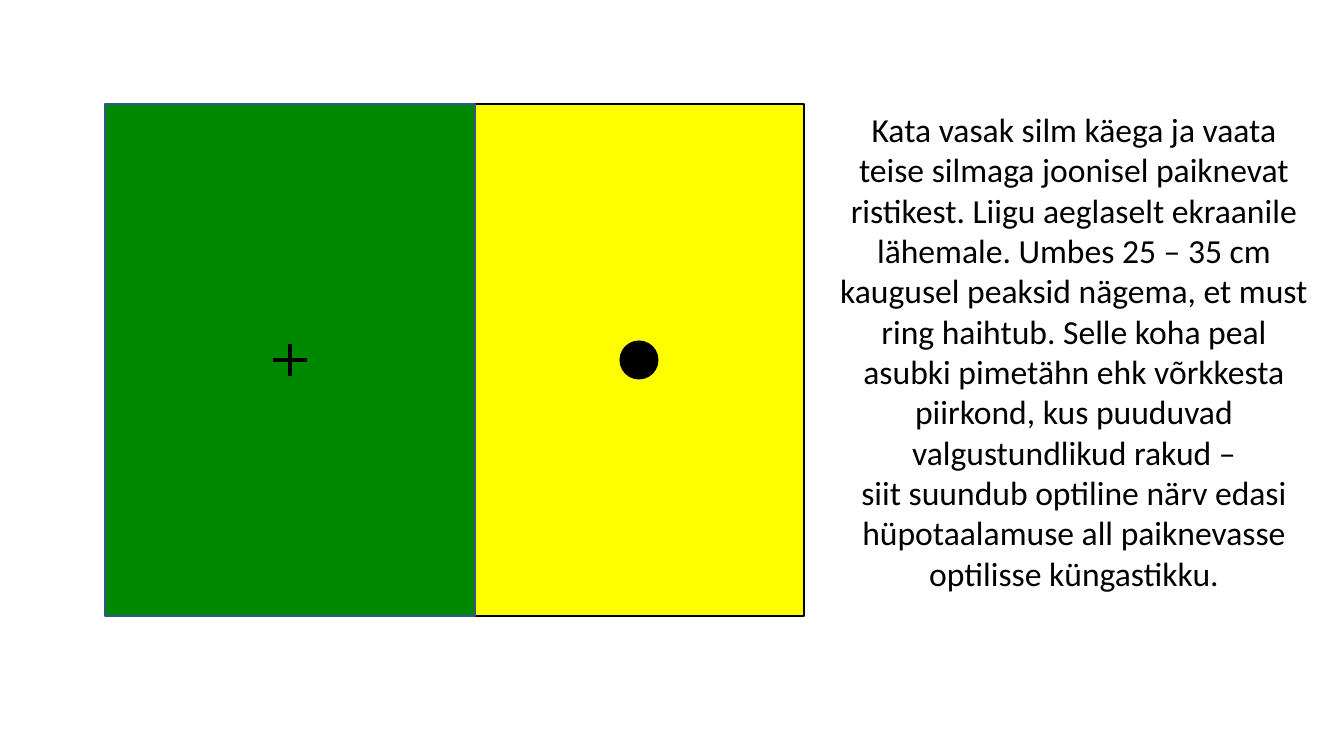
from lxml import etree
from pptx import Presentation
from pptx import util as u
from pptx.dml.color import RGBColor
from pptx.enum import shapes, text
from pptx.oxml.ns import qn

# Content
INSTRUCTIONS = [
    "Kata vasak silm käega ja vaata teise silmaga joonisel paiknevat ristikest. "
    "Liigu aeglaselt ekraanile lähemale. Umbes 25 – 35 cm kaugusel peaksid nägema, "
    "et must ring haihtub. Selle koha peal asubki pimetähn ehk võrkkesta piirkond, "
    "kus puuduvad valgustundlikud rakud –",
    "siit suundub optiline närv edasi hüpotaalamuse all paiknevasse optilisse küngastikku.",
]

BLACK = RGBColor(0x00, 0x00, 0x00)
GREEN = RGBColor(0x00, 0x88, 0x00)
YELLOW = RGBColor(0xFF, 0xFF, 0x00)
BLUE = RGBColor(0x32, 0x54, 0x91)

# Layout in px
SLIDE_SIZE = (1344, 756)
TOP, HEIGHT = 104, 512
GREEN_LEFT, GREEN_WIDTH = 105, 370
YELLOW_LEFT, YELLOW_WIDTH = 474, 330
DOT_SIZE = 39
CROSS_ARMS = [(0, 16), (17, 0)]
TEXT_BOX = (828, TOP, 492, 499)


def px(length):
    return u.Emu(round(length * 914400 / 100.8))


def add_filled(slide, kind, box, fill, line=None, line_width=0):
    shape = slide.shapes.add_shape(kind, *map(px, box))
    shape.shadow.inherit = False
    shape.fill.solid()
    shape.fill.fore_color.rgb = fill
    if line is None:
        shape.line.fill.background()
    else:
        shape.line.color.rgb = line
        shape.line.width = u.Pt(line_width)


def add_stroke(slide, *ends):
    stroke = slide.shapes.add_connector(shapes.MSO_CONNECTOR.STRAIGHT, *map(px, ends))
    stroke.line.color.rgb = BLACK
    stroke.line.width = u.Pt(3)
    etree.SubElement(stroke._element.spPr, qn("a:effectLst"))


def add_instructions(slide):
    box = slide.shapes.add_textbox(*map(px, TEXT_BOX))
    frame = box.text_frame
    frame.word_wrap = True
    frame.auto_size = text.MSO_AUTO_SIZE.SHAPE_TO_FIT_TEXT
    frame.text = "\n".join(INSTRUCTIONS)
    for paragraph in frame.paragraphs:
        paragraph.alignment = text.PP_ALIGN.CENTER
        paragraph.font.name = "Calibri"
        paragraph.font.size = u.Pt(24)
        paragraph.font.color.rgb = BLACK


def main():
    presentation = Presentation()
    presentation.slide_width, presentation.slide_height = map(px, SLIDE_SIZE)
    slide = presentation.slides.add_slide(presentation.slide_layouts[6])
    add_instructions(slide)

    # Yellow field with the dot at its centre
    rectangle = shapes.MSO_SHAPE.RECTANGLE
    middle = TOP + HEIGHT / 2
    dot_left = YELLOW_LEFT + (YELLOW_WIDTH - DOT_SIZE) / 2
    add_filled(slide, rectangle, (YELLOW_LEFT, TOP, YELLOW_WIDTH, HEIGHT), YELLOW, BLACK, 1.5)
    add_filled(slide, shapes.MSO_SHAPE.OVAL,
               (dot_left, middle - DOT_SIZE / 2, DOT_SIZE, DOT_SIZE), BLACK)

    # Green field with the cross at its centre
    add_filled(slide, rectangle, (GREEN_LEFT, TOP, GREEN_WIDTH, HEIGHT), GREEN, BLUE, 1)
    centre = GREEN_LEFT + GREEN_WIDTH / 2
    for across, down in CROSS_ARMS:
        add_stroke(slide, centre - across, middle - down, centre + across, middle + down)

    presentation.save("out.pptx")


if __name__ == "__main__":
    main()
